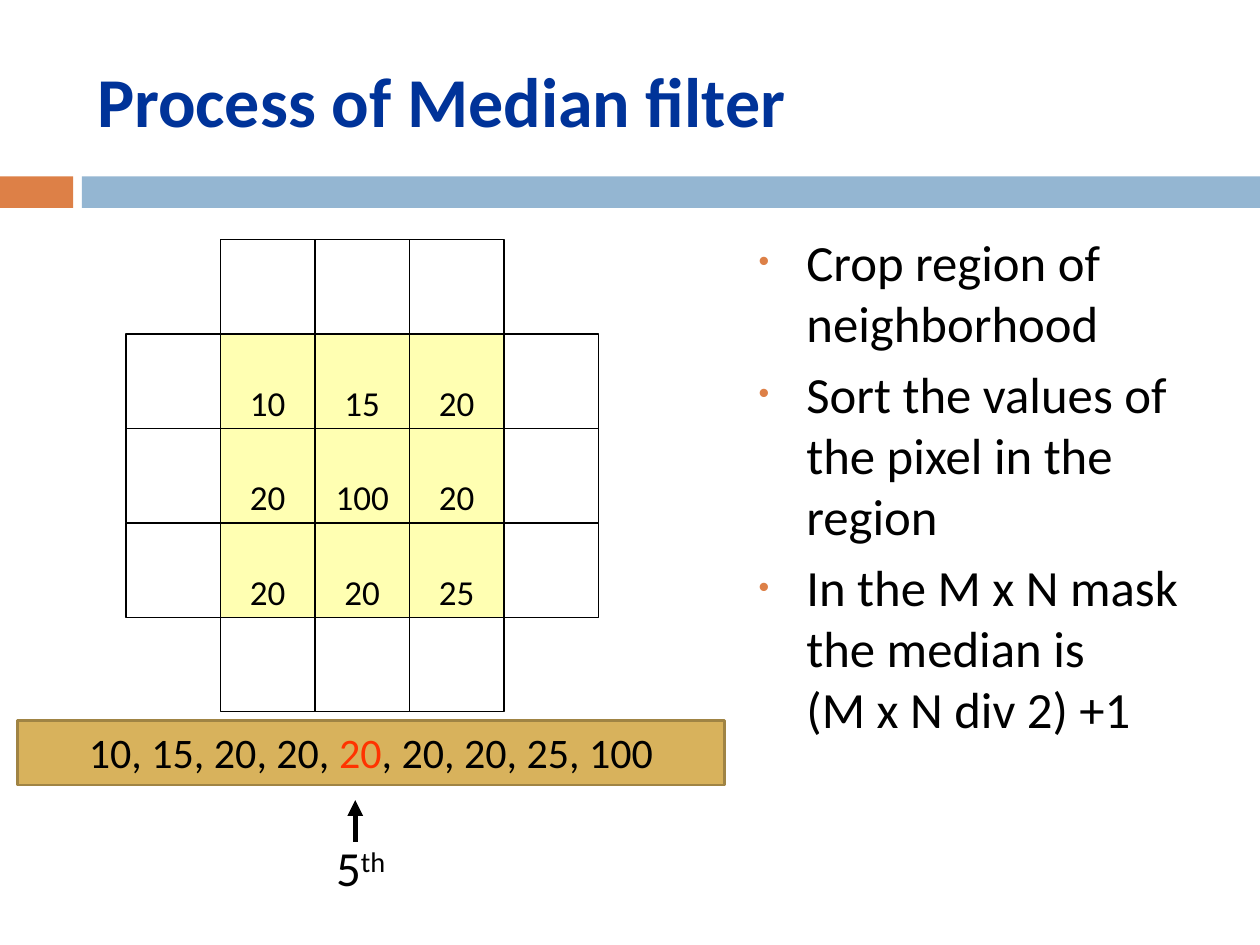
from lxml.etree import SubElement
from pptx import Presentation
from pptx.dml.color import RGBColor
from pptx.enum.shapes import MSO_CONNECTOR, MSO_SHAPE
from pptx.enum.text import MSO_ANCHOR, MSO_AUTO_SIZE, PP_ALIGN
from pptx.oxml.ns import qn
from pptx.util import Inches, Pt

BLACK = RGBColor(0x00, 0x00, 0x00)
NAVY = RGBColor(0x00, 0x33, 0x99)
ORANGE = RGBColor(0xDD, 0x80, 0x47)
BLUE = RGBColor(0x94, 0xB6, 0xD2)
YELLOW = RGBColor(0xFF, 0xFF, 0x66)
GOLD = RGBColor(0xD8, 0xB2, 0x5C)
DARK_GOLD = RGBColor(0xA0, 0x84, 0x44)
RED = RGBColor(0xFF, 0x33, 0x00)


def add_rectangle(left, top, width, height, fill=None, line=None, line_width=0.75):
    shape = slide.shapes.add_shape(
        MSO_SHAPE.RECTANGLE, Inches(left), Inches(top), Inches(width), Inches(height))
    shape.shadow.inherit = False
    if fill is None:
        shape.fill.background()
    else:
        shape.fill.solid()
        shape.fill.fore_color.rgb = fill
    if line is None:
        shape.line.fill.background()
    else:
        shape.line.color.rgb = line
        shape.line.width = Pt(line_width)
    return shape


def format_font(font, size, color=BLACK, bold=False):
    for name, value in {"name": "Calibri", "size": Pt(size), "bold": bold}.items():
        setattr(font, name, value)
    font.color.rgb = color


presentation = Presentation()
presentation.slide_width = Inches(10)
presentation.slide_height = Inches(7.5)
slide = presentation.slides.add_slide(presentation.slide_layouts[1])
title, body = slide.placeholders

# Title and list positions
for shape, (left, top, width, height) in (
    (title, (0.67, 0.25, 8.92, 1.08)),
    (body, (5.92, 1.75, 3.67, 4.92)),
):
    places = {"left": left, "top": top, "width": width, "height": height}
    for name, value in places.items():
        setattr(shape, name, Inches(value))
    shape.text_frame.auto_size = MSO_AUTO_SIZE.NONE
    shape.text_frame.word_wrap = True

# Title
title.text_frame.text = "Process of Median filter"
title.text_frame.vertical_anchor = MSO_ANCHOR.MIDDLE
paragraph = title.text_frame.paragraphs[0]
paragraph.alignment = PP_ALIGN.LEFT
format_font(paragraph.runs[0].font, 40, NAVY, True)

# Bulleted list
steps = (
    "Crop region of neighborhood",
    "Sort the values of the pixel in the region",
    "In the M x N mask the median is \v(M x N div 2) +1",
)
body.text_frame.margin_top = Inches(0.08)
body.text_frame.text = "\n".join(steps)
for index, paragraph in enumerate(body.text_frame.paragraphs):
    paragraph.space_before = Pt(6 if index else 0)
    properties = paragraph._p.get_or_add_pPr()
    properties.set("marL", str(Inches(0.38)))
    properties.set("indent", str(-Inches(0.38)))
    bullet_color = SubElement(properties, qn("a:buClr"))
    SubElement(bullet_color, qn("a:srgbClr"), val=str(ORANGE))
    SubElement(properties, qn("a:buSzPct"), val="60000")
    SubElement(properties, qn("a:buFont"), typeface="Arial")
    SubElement(properties, qn("a:buChar"), char="•")
    format_font(paragraph.font, 29)
    for run in paragraph.runs:
        format_font(run.font, 29)

# Band below the title
add_rectangle(0, 1.4, 0.58, 0.25, ORANGE)
add_rectangle(0.65, 1.4, 9.35, 0.25, BLUE)

# Pixel grid: five by five without corners, filter mask in the middle
CELL = 0.75
mask = ((10, 15, 20), (20, 100, 20), (20, 20, 25))
for row in range(5):
    for column in range(5):
        if row in (0, 4) and column in (0, 4):
            continue
        in_mask = 1 <= row <= 3 and 1 <= column <= 3
        cell = add_rectangle(1 + column * CELL, 1.9 + row * CELL, CELL, CELL,
                             YELLOW if in_mask else None, BLACK)
        if not in_mask:
            continue
        color = cell.fill._xPr.find(qn("a:solidFill"))[0]
        SubElement(color, qn("a:alpha"), val="50000")
        frame = cell.text_frame
        frame.word_wrap = False
        frame.vertical_anchor = MSO_ANCHOR.BOTTOM
        frame.margin_bottom = Inches(0.04)
        frame.text = str(mask[row - 1][column - 1])
        frame.paragraphs[0].alignment = PP_ALIGN.CENTER
        format_font(frame.paragraphs[0].runs[0].font, 20)

# Sorted values with the median in red
sorted_box = add_rectangle(0.14, 5.72, 5.61, 0.51, GOLD, DARK_GOLD, 1.5)
sorted_box.text_frame.vertical_anchor = MSO_ANCHOR.TOP
paragraph = sorted_box.text_frame.paragraphs[0]
paragraph.alignment = PP_ALIGN.CENTER
for text, color in (("10, 15, 20, 20, ", BLACK), ("20", RED), (", 20, 20, 25, 100", BLACK)):
    run = paragraph.add_run()
    run.text = text
    format_font(run.font, 24, color)

# Median position label
label = slide.shapes.add_textbox(Inches(2.57), Inches(6.6), Inches(0.6), Inches(0.57))
label.text_frame.word_wrap = False
paragraph = label.text_frame.paragraphs[0]
for text in ("5", "th"):
    run = paragraph.add_run()
    run.text = text
    format_font(run.font, 28)
run.font._element.set("baseline", "30000")

# Arrow from the label up to the median
arrow = slide.shapes.add_connector(
    MSO_CONNECTOR.STRAIGHT, Inches(2.82), Inches(6.68), Inches(2.82), Inches(6.35))
arrow.line.color.rgb = BLACK
arrow.line.width = Pt(3)
SubElement(arrow.line._get_or_add_ln(), qn("a:tailEnd"), type="triangle")
SubElement(arrow._element.spPr, qn("a:effectLst"))

presentation.save("out.pptx")
